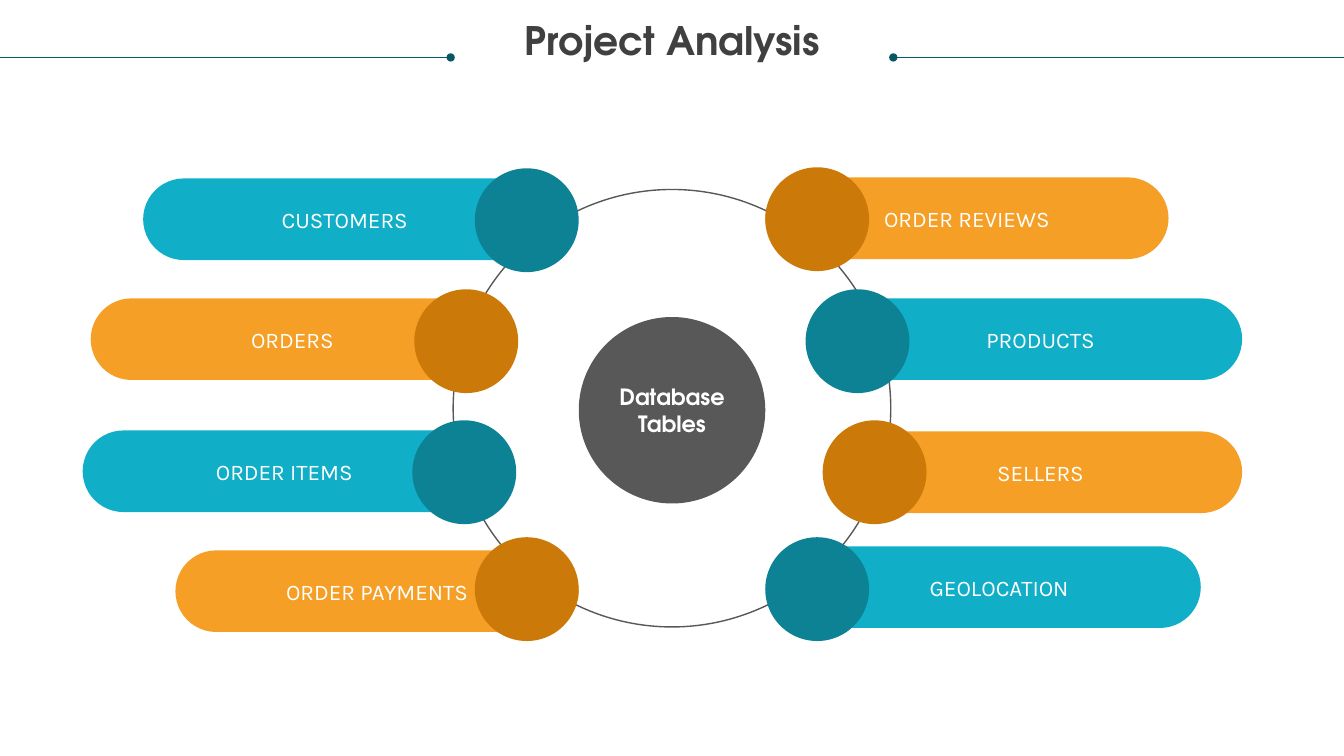
from dataclasses import dataclass

from lxml.etree import SubElement
from pptx import Presentation
from pptx.dml.color import RGBColor as Rgb
from pptx.enum.shapes import MSO_CONNECTOR as Link, MSO_SHAPE as Kind
from pptx.enum.text import MSO_ANCHOR as Anchor, PP_ALIGN as Align
from pptx.oxml.ns import qn
from pptx.util import Inches as In, Pt

WIDE, HIGH = 13.33, 7.5
MID = WIDE / 2

TITLE = "Project Analysis"
HUB = "Database Tables"
# label, tone, (bar left, bar top), (knob left, knob top)
TABLES = [
    ("ORDER REVIEWS", "amber", (7.59, 1.76), (7.59, 1.66)),
    ("PRODUCTS", "teal", (8.32, 2.96), (7.99, 2.87)),
    ("SELLERS", "amber", (8.32, 4.28), (8.16, 4.17)),
    ("CUSTOMERS", "teal", (1.42, 1.77), (4.71, 1.67)),
    ("ORDERS", "amber", (0.9, 2.96), (4.11, 2.87)),
    ("ORDER ITEMS", "teal", (0.82, 4.27), (4.09, 4.17)),
    ("ORDER PAYMENTS", "amber", (1.74, 5.46), (4.71, 5.33)),
    ("GEOLOCATION", "teal", (7.91, 5.42), (7.59, 5.33)),
]
BAR = (4, 0.81)
KNOB = (1.03, 1.03)
RING, CORE = 4.34, 1.85
RING_Y, CORE_Y = 4.05, 4.07
RULE_Y = 0.57
RULES = [(0, 4.47), (WIDE, 8.86)]  # slide edge, dotted end


@dataclass(frozen=True)
class Theme:
    head: str = "TeX Gyre Adventor"
    body: str = "Karla"
    big: int = 28
    small: int = 16
    ink: str = "404040"
    gray: str = "585858"
    white: str = "FFFFFF"
    rule: str = "085764"
    bars = {"amber": "F59F26", "teal": "11AEC7"}
    knobs = {"amber": "CB7A09", "teal": "0D8295"}


LOOK = Theme()
HEAD = dict(name=LOOK.head, size=Pt(LOOK.big), bold=True)
CENTER = dict(name=LOOK.head, size=Pt(LOOK.small), bold=True)
LABEL = dict(name=LOOK.body, size=Pt(LOOK.small), bold=False)


def assign(item, values):
    for key, value in values.items():
        setattr(item, key, value)


def write(shape, text, font, color, **frame):
    """Put one centred paragraph in the shape."""
    assign(shape.text_frame, dict(word_wrap=True, **frame))
    para = shape.text_frame.paragraphs[0]
    para.alignment = Align.CENTER
    run = para.add_run()
    run.text = text
    assign(run.font, font)
    run.font.color.rgb = Rgb.from_string(color)
    return para


def add(slide, kind, spot, size, fill=None):
    shape = slide.shapes.add_shape(kind, *map(In, (*spot, *size)))
    shape.shadow.inherit = False
    if fill:
        shape.fill.solid()
        shape.fill.fore_color.rgb = Rgb.from_string(fill)
        shape.line.fill.background()
    else:
        shape.fill.background()
        shape.line.color.rgb = Rgb.from_string(LOOK.gray)
        shape.line.width = Pt(1)
    return shape


def disc(slide, size, y, fill=None):
    """Add a circle centred across the slide."""
    spot = (MID - size / 2, y - size / 2)
    return add(slide, Kind.OVAL, spot, (size, size), fill)


def add_rule(slide, edge, dot):
    rule = slide.shapes.add_connector(
        Link.STRAIGHT, *map(In, (edge, RULE_Y, dot, RULE_Y)))
    rule.line.color.rgb = Rgb.from_string(LOOK.rule)
    rule.line.width = Pt(0.5)
    props = rule._element.spPr
    SubElement(props.find(qn("a:ln")), qn("a:tailEnd"), type="oval")
    SubElement(props, qn("a:effectLst"))


def add_title(slide):
    box = slide.shapes.add_textbox(*map(In, (0.25, 0.21, 12.83, 0.85)))
    sides = ("left", "top", "right", "bottom")
    flush = {f"margin_{side}": 0 for side in sides}
    para = write(box, TITLE, HEAD, LOOK.ink, **flush)
    para.line_spacing = 0.9


def add_table_bar(slide, label, tone, spot, knob):
    bar = add(slide, Kind.ROUNDED_RECTANGLE, spot, BAR, LOOK.bars[tone])
    bar.adjustments[0] = 0.5
    write(bar, label, LABEL, LOOK.white, vertical_anchor=Anchor.MIDDLE)
    add(slide, Kind.OVAL, knob, KNOB, LOOK.knobs[tone])


def main():
    deck = Presentation()
    assign(deck, dict(slide_width=In(WIDE), slide_height=In(HIGH)))
    slide = deck.slides.add_slide(deck.slide_layouts[6])
    disc(slide, RING, RING_Y)
    for edge, dot in RULES:
        add_rule(slide, edge, dot)
    add_title(slide)
    hub = disc(slide, CORE, CORE_Y, LOOK.gray)
    write(hub, HUB, CENTER, LOOK.white, vertical_anchor=Anchor.MIDDLE)
    for row in TABLES:
        add_table_bar(slide, *row)
    deck.save("out.pptx")


if __name__ == "__main__":
    main()
